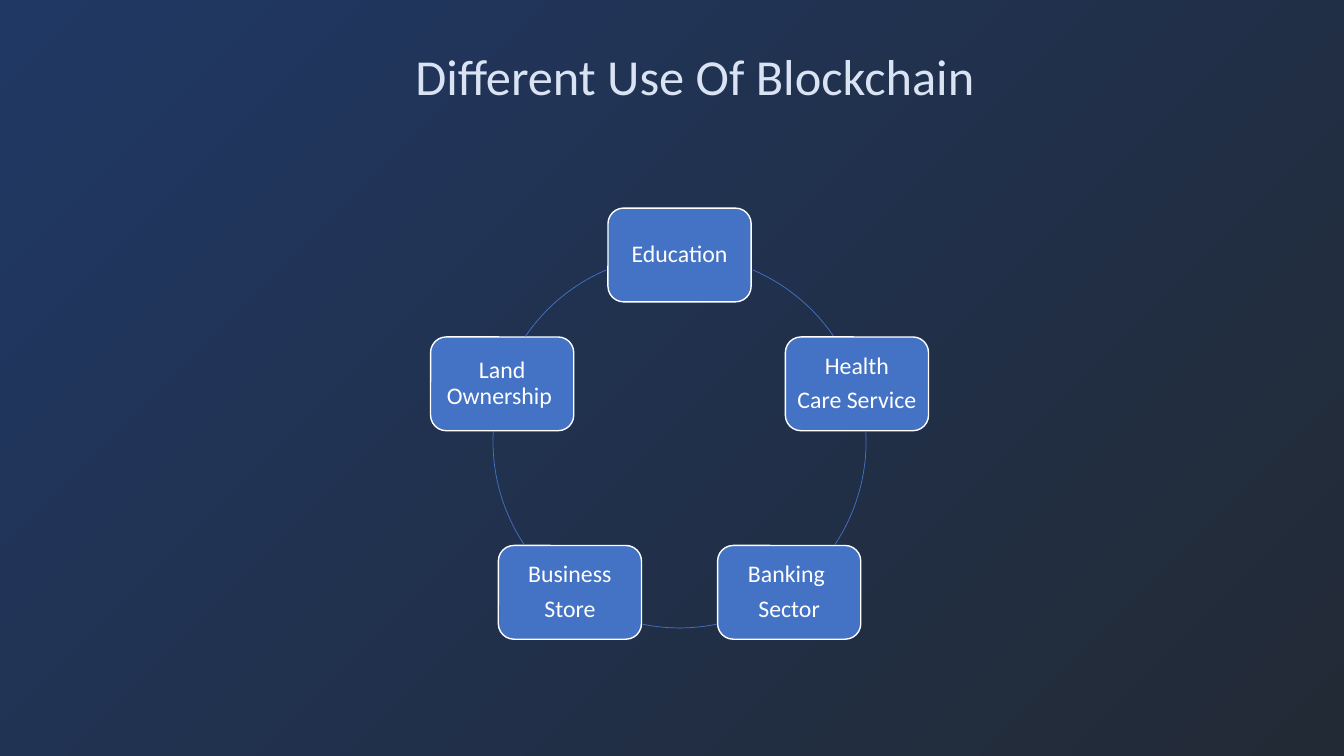
from math import cos, radians, sin

from lxml import etree
from pptx import Presentation
from pptx.dml.color import RGBColor
from pptx.enum.shapes import MSO_SHAPE
from pptx.enum.text import MSO_ANCHOR, MSO_AUTO_SIZE, PP_ALIGN
from pptx.oxml.ns import qn
from pptx.util import Inches, Pt

BOX = MSO_SHAPE.ROUNDED_RECTANGLE
ARC = MSO_SHAPE.ARC
CENTER = PP_ALIGN.CENTER
MIDDLE = MSO_ANCHOR.MIDDLE
GROW = MSO_AUTO_SIZE.SHAPE_TO_FIT_TEXT

DARK = RGBColor(0x22, 0x2A, 0x35)
NAVY = RGBColor(0x20, 0x38, 0x64)
PALE = RGBColor(0xDA, 0xE3, 0xF3)
BLUE = RGBColor(0x44, 0x72, 0xC4)
WHITE = RGBColor(0xFF, 0xFF, 0xFF)

# Ring of uses, clockwise from the top
MID_X, MID_Y, RADIUS = 6.74, 4.38, 1.85
BOX_W, BOX_H = 1.42, 0.93
USES = [
    "Education",
    "Health\nCare Service",
    "Banking \nSector",
    "Business\nStore",
    "Land Ownership ",
]
# Visible part of the ring after each box, in degrees clockwise from the right
GAPS = [(293.1, 325.7), (356.9, 33.6), (78.6, 101.4), (146.4, 183.1), (214.3, 246.9)]


class Board:
    font = "Calibri"

    def __init__(self, slide):
        self.slide = slide

    def backdrop(self, *colors):
        """Gradient that spreads from the bottom right corner."""
        fill = self.slide.background.fill
        fill.gradient()
        for stop, color in zip(fill.gradient_stops, colors):
            stop.color.rgb = color
        grad = self.slide.element.find(".//" + qn("a:gradFill"))
        grad.remove(grad.find(qn("a:lin")))
        way = etree.SubElement(grad, qn("a:path"), {"path": "circle"})
        etree.SubElement(way, qn("a:fillToRect"), {"l": "100000", "t": "100000"})

    def style(self, para, size, color):
        for run in para.runs:
            run.font.name = self.font
            run.font.size = Pt(size)
            run.font.color.rgb = color

    def title(self, text, x, y, w, h):
        box = self.slide.shapes.add_textbox(Inches(x), Inches(y), Inches(w), Inches(h))
        frame = box.text_frame
        frame.word_wrap = False
        frame.auto_size = GROW
        frame.text = text
        self.style(frame.paragraphs[0], 36, PALE)

    def shape(self, kind, x, y, w, h, line, width):
        """Add a preset shape centred on x, y."""
        item = self.slide.shapes.add_shape(
            kind, Inches(x - w / 2), Inches(y - h / 2), Inches(w), Inches(h))
        item.shadow.inherit = False
        item.line.color.rgb = line
        item.line.width = Pt(width)
        return item

    def box(self, text, x, y):
        item = self.shape(BOX, x, y, BOX_W, BOX_H, WHITE, 1)
        item.fill.solid()
        item.fill.fore_color.rgb = BLUE
        frame = item.text_frame
        frame.word_wrap = True
        frame.vertical_anchor = MIDDLE
        frame.margin_left = frame.margin_right = Inches(0.07)
        frame.margin_top = frame.margin_bottom = Inches(0.07)
        frame.text = text
        for para in frame.paragraphs:
            para.alignment = CENTER
            para.line_spacing = 0.9
            para.space_after = Pt(6)
            self.style(para, 17, WHITE)

    def arc(self, start, end):
        item = self.shape(ARC, MID_X, MID_Y, 2 * RADIUS, 2 * RADIUS, BLUE, 0.5)
        item.fill.background()
        # An angle unit is 1/60000 degree, an adjustment unit 1/100000
        item.adjustments[0] = start * 0.6
        item.adjustments[1] = end * 0.6


def main():
    deck = Presentation()
    deck.slide_width, deck.slide_height = Inches(13.33), Inches(7.5)
    board = Board(deck.slides.add_slide(deck.slide_layouts[6]))

    # Background and title
    board.backdrop(DARK, NAVY)
    board.title("Different Use Of Blockchain", 4.02, 0.4, 5.81, 0.71)

    # Cycle: a box and the arc that follows it
    for i, (use, gap) in enumerate(zip(USES, GAPS)):
        turn = radians(360 / len(USES) * i - 90)
        board.box(use, MID_X + RADIUS * cos(turn), MID_Y + RADIUS * sin(turn))
        board.arc(*gap)

    deck.save("out.pptx")


if __name__ == "__main__":
    main()
